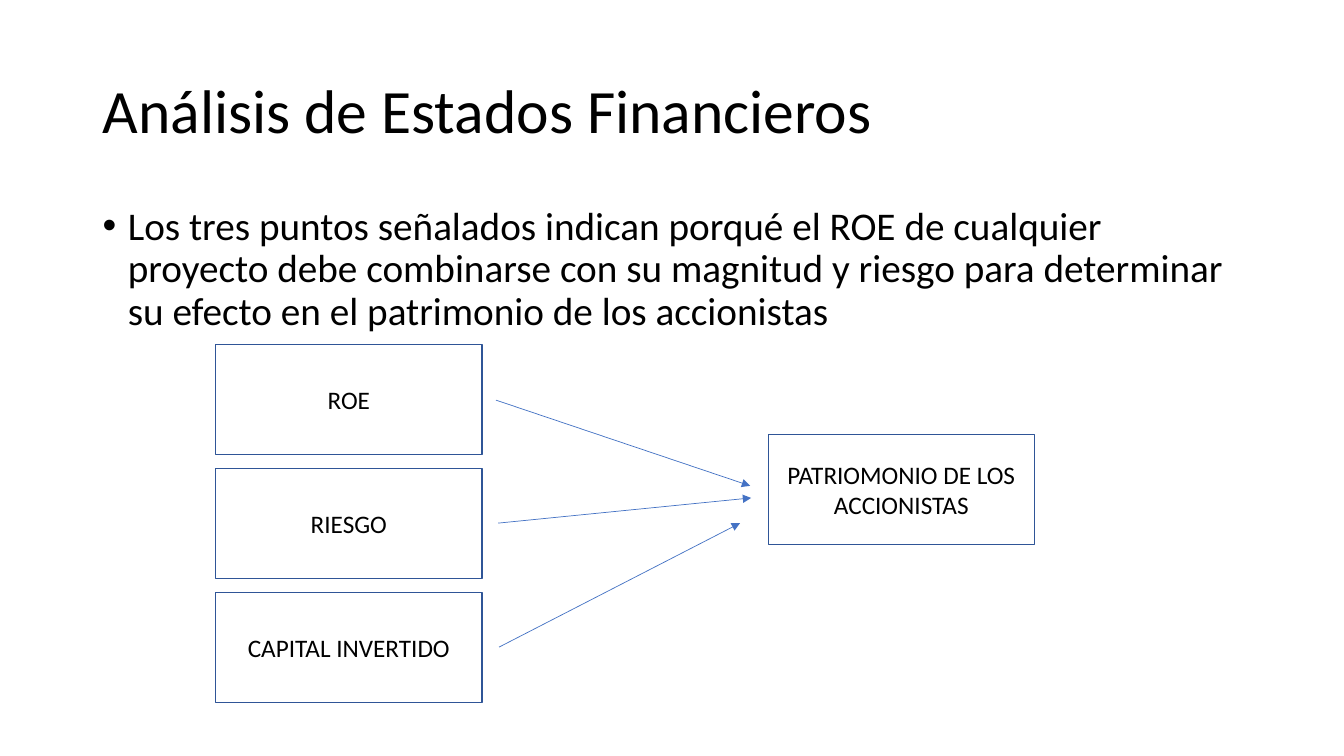
from dataclasses import dataclass

from lxml.etree import SubElement
from pptx import Presentation
from pptx.dml.color import RGBColor
from pptx.enum.shapes import MSO_CONNECTOR, MSO_SHAPE
from pptx.enum.text import MSO_ANCHOR, PP_ALIGN
from pptx.oxml.ns import qn
from pptx.util import Inches, Pt

# Content
TITLE = "Análisis de Estados Financieros"
BODY = (
    "Los tres puntos señalados indican porqué el ROE de cualquier proyecto debe "
    "combinarse con su magnitud y riesgo para determinar su efecto en el "
    "patrimonio de los accionistas"
)
FACTORS = ["ROE", "RIESGO", "CAPITAL INVERTIDO"]
RESULT = "PATRIOMONIO DE LOS ACCIONISTAS"
ARROWS = [  # start and end points, in inches
    ((4.92, 3.97), (7.44, 4.82)),
    ((4.94, 5.19), (7.45, 4.94)),
    ((4.95, 6.42), (7.34, 5.19)),
]

# Layout, in inches
MARGIN, TEXT_WIDTH = 0.92, 11.5
BOX_WIDTH, BOX_HEIGHT = 2.64, 1.09
FACTOR_LEFT, FACTOR_TOP, FACTOR_PITCH = 2.14, 3.42, 1.23
RESULT_LEFT, RESULT_TOP = 7.62, 4.31


@dataclass(frozen=True)
class Theme:
    font: str = "Calibri"
    text: RGBColor = RGBColor(0x00, 0x00, 0x00)
    fill: RGBColor = RGBColor(0xFF, 0xFF, 0xFF)
    border: RGBColor = RGBColor(0x2F, 0x55, 0x97)
    arrow: RGBColor = RGBColor(0x44, 0x72, 0xC4)
    title_size: int = 44
    body_size: int = 28
    box_size: int = 18


THEME = Theme()


def style(paragraph, size):
    paragraph.font.name = THEME.font
    paragraph.font.size = Pt(size)
    paragraph.font.color.rgb = THEME.text


def add_text(slide, text, top, height, size, anchor, bullet=False):
    shape = slide.shapes.add_textbox(
        Inches(MARGIN), Inches(top), Inches(TEXT_WIDTH), Inches(height))
    frame = shape.text_frame
    frame.word_wrap = True
    frame.vertical_anchor = anchor
    paragraph = frame.paragraphs[0]
    paragraph.text = text
    paragraph.line_spacing = 0.9
    if bullet:
        properties = paragraph._p.get_or_add_pPr()
        properties.set("marL", str(Inches(0.25)))
        properties.set("indent", str(Inches(-0.25)))
        SubElement(properties, qn("a:buFont"), typeface="Arial")
        SubElement(properties, qn("a:buChar"), char="•")
    style(paragraph, size)


def add_box(slide, text, left, top):
    shape = slide.shapes.add_shape(
        MSO_SHAPE.RECTANGLE, Inches(left), Inches(top),
        Inches(BOX_WIDTH), Inches(BOX_HEIGHT))
    shape.shadow.inherit = False
    shape.fill.solid()
    shape.fill.fore_color.rgb = THEME.fill
    shape.line.color.rgb = THEME.border
    shape.line.width = Pt(1)
    frame = shape.text_frame
    frame.word_wrap = True
    frame.vertical_anchor = MSO_ANCHOR.MIDDLE
    paragraph = frame.paragraphs[0]
    paragraph.text = text
    paragraph.alignment = PP_ALIGN.CENTER
    style(paragraph, THEME.box_size)


def add_arrow(slide, start, end):
    points = [Inches(value) for value in (*start, *end)]
    connector = slide.shapes.add_connector(MSO_CONNECTOR.STRAIGHT, *points)
    connector.line.color.rgb = THEME.arrow
    connector.line.width = Pt(0.5)
    SubElement(connector.line._get_or_add_ln(), qn("a:tailEnd"), type="triangle")
    SubElement(connector._element.spPr, qn("a:effectLst"))


def main():
    presentation = Presentation()
    presentation.slide_width = Inches(13.33)
    presentation.slide_height = Inches(7.5)
    slide = presentation.slides.add_slide(presentation.slide_layouts[6])

    # Title and explanation
    add_text(slide, TITLE, 0.4, 1.45, THEME.title_size, MSO_ANCHOR.MIDDLE)
    add_text(slide, BODY, 2, 4.76, THEME.body_size, MSO_ANCHOR.TOP, bullet=True)

    # Factors leading to the result
    for row, factor in enumerate(FACTORS):
        add_box(slide, factor, FACTOR_LEFT, FACTOR_TOP + row * FACTOR_PITCH)
    add_box(slide, RESULT, RESULT_LEFT, RESULT_TOP)
    for start, end in ARROWS:
        add_arrow(slide, start, end)

    presentation.save("out.pptx")


if __name__ == "__main__":
    main()
